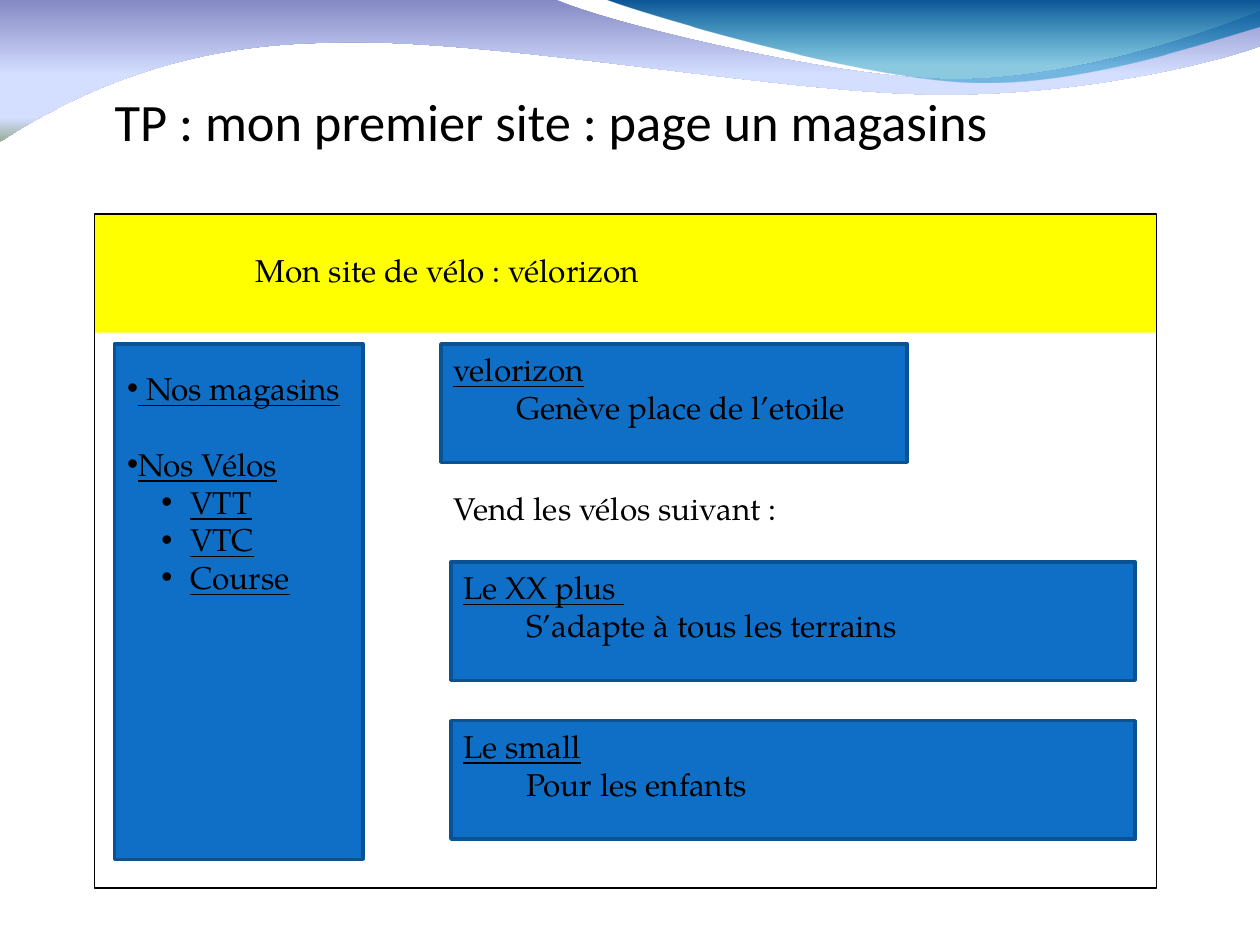
import pptx
import pptx.util
import pptx.dml.color
import pptx.enum.shapes
import pptx.enum.text
import pptx.oxml
import pptx.oxml.ns

HUES = {"ink": "000000", "blue": "0F6FC6", "edge": "0B5292", "sun": "FFFF00"}
UNIT = 0.1  # grid of 100 columns by 75 rows, in inches
SERIF, SANS = "TeX Gyre Pagella", "Calibri"
qn = pptx.oxml.ns.qn


def cell(n):
    return pptx.util.Inches(n * UNIT)


def color(hue):
    return pptx.dml.color.RGBColor.from_string(HUES[hue])


def add(parent, tag, **attrs):
    child = parent.makeelement(qn(tag), {k: str(v) for k, v in attrs.items()})
    parent.append(child)
    return child


def write(para, text, size=18, font=SERIF, under=False, before=0, left=0,
          hang=0, bullet=None, tab=None):
    """Put formatted text in a paragraph."""
    props = para._p.get_or_add_pPr()
    props.set("marL", str(cell(left)))
    props.set("indent", str(cell(hang)))
    if bullet:
        add(props, "a:buFont", typeface="Arial")
        add(props, "a:buChar", char=bullet)
    if tab:
        add(add(props, "a:tabLst"), "a:tab", pos=cell(tab), algn="l")
    para.alignment = pptx.enum.text.PP_ALIGN.LEFT
    para.space_before = pptx.util.Pt(before)
    run = para.add_run()
    run.text = text
    run.font.size = pptx.util.Pt(size)
    run.font.name = font
    run.font.underline = under
    run.font.color.rgb = color("ink")


class Page:
    def __init__(self, deck):
        self.slide = deck.slides.add_slide(deck.slide_layouts[1])
        self.shapes = self.slide.shapes

    def place(self, shape, x, y, w, h):
        shape.left, shape.top, shape.width, shape.height = map(cell, (x, y, w, h))

    def fill(self, frame, lines, anchor="TOP"):
        frame.word_wrap = True
        frame.auto_size = pptx.enum.text.MSO_AUTO_SIZE.NONE
        frame.vertical_anchor = getattr(pptx.enum.text.MSO_ANCHOR, anchor)
        for i, (text, style) in enumerate(lines):
            para = frame.add_paragraph() if i else frame.paragraphs[0]
            write(para, text, **style)

    def title(self, text, *spot):
        shape = self.shapes.title
        self.place(shape, *spot)
        self.fill(shape.text_frame, [(text, {"size": 30, "font": SANS})], "BOTTOM")
        shape.text_frame.margin_left = shape.text_frame.margin_right = 0
        shape.text_frame.margin_bottom = 0

    def list(self, lines, *spot):
        shape = self.slide.placeholders[1]
        self.place(shape, *spot)
        self.fill(shape.text_frame, lines)
        shape.element.getparent().append(shape.element)  # bring to front

    def box(self, *spot, hue=None, edge=None, width=2, lines=()):
        kind = pptx.enum.shapes.MSO_SHAPE.RECTANGLE
        shape = self.shapes.add_shape(kind, *map(cell, spot))
        shape.shadow.inherit = False
        if hue:
            shape.fill.solid()
            shape.fill.fore_color.rgb = color(hue)
        else:
            shape.fill.background()
        if edge:
            shape.line.color.rgb = color(edge)
            shape.line.width = pptx.util.Pt(width)
        else:
            shape.line.fill.background()
        self.fill(shape.text_frame, lines)

    def card(self, *spot, head, note):
        self.box(*spot, hue="blue", edge="edge",
                 lines=[(head, {"under": True}), ("\t" + note, {"tab": 10})])

    def label(self, text, *spot):
        shape = self.shapes.add_textbox(*map(cell, spot))
        self.fill(shape.text_frame, [(text, {})])

    def wave(self, start, legs, stops):
        """Closed outline, one point a line and three a curve, shaded downward."""
        pen = self.shapes.build_freeform(*map(cell, start))
        pen.add_line_segments([tuple(map(cell, leg[-1])) for leg in legs], close=True)
        shape = pen.convert_to_shape()
        shape.shadow.inherit = False
        shape.line.fill.background()
        shape.fill.background()
        props = shape.element.spPr
        for line, leg in zip(list(props.iter(qn("a:lnTo"))), legs):
            if len(leg) == 3:
                bend = line.makeelement(qn("a:cubicBezTo"), {})
                for x, y in leg:
                    add(bend, "a:pt", x=cell(x) - shape.left, y=cell(y) - shape.top)
                line.getparent().replace(line, bend)
        grad = props.makeelement(qn("a:gradFill"), {"rotWithShape": "1"})
        marks = add(grad, "a:gsLst")
        for pos, hue, alpha in stops:
            tint = add(add(marks, "a:gs", pos=pos * 1000), "a:srgbClr", val=hue)
            if alpha < 100:
                add(tint, "a:alpha", val=alpha * 1000)
        add(grad, "a:lin", ang=90 * 60000, scaled=0)
        props.replace(props.find(qn("a:noFill")), grad)


def main():
    deck = pptx.Presentation()
    deck.slide_width, deck.slide_height = cell(100), cell(75)
    page = Page(deck)

    # Waves along the top
    page.wave((0, 0), [[(44, -0.1)],
                       [(47.6, 1.7), (66.4, 6.3), (75.8, 6.3)],
                       [(85.3, 6.3), (95.8, 2.6), (100, 0.9)], [(100.1, 3.6)],
                       [(98.3, 4.4), (87, 7.6), (74.6, 7.5)],
                       [(62.2, 7.5), (38.2, 2.8), (25.7, 3.4)],
                       [(12.9, 3.6), (4.6, 8.3), (-0.1, 11.3)], [(0, 0)]],
              [(0, "8488C4", 100), (53, "D4DEFF", 100),
               (83, "D4DEFF", 100), (100, "96AB94", 100)])
    page.wave((47.9, -0.1), [[(50.9, 1.1), (68.2, 6.2), (76.9, 6.5)],
                             [(85.6, 6.9), (96.1, 3.2), (100, 2.1)],
                             [(100, 0)], [(47.9, -0.1)]],
              [(0, "0B5394", 100), (80, "008BBF", 45)])

    # Title and site header
    page.title("TP : mon premier site : page un magasins", 9.1, 2.9, 90, 9.2)
    page.box(7.5, 17, 84.3, 9.4, hue="sun")
    page.label("Mon site de vélo : vélorizon", 19.3, 19.4, 54.3, 4)
    page.box(7.5, 17, 84.3, 53.5, edge="ink", width=1)

    # Menu
    page.box(9.1, 27.3, 19.7, 40.9, hue="blue", edge="edge")
    main_item = {"under": True, "bullet": "•"}
    sub_item = {**main_item, "left": 5, "hang": -2.3}
    page.list([(" Nos magasins", main_item),
               ("Nos Vélos", {**main_item, "before": 21.6}),
               *((name, sub_item) for name in ("VTT", "VTC", "Course"))],
              9.1, 28.8, 21.3, 19.2)

    # Shop and its bikes
    page.card(35, 27.3, 37, 9.4, head="velorizon", note="Genève place de l’etoile")
    page.label("Vend les vélos suivant :", 35, 38.3, 29.9, 4)
    bikes = [("Le XX plus ", "S’adapte à tous les terrains"),
             ("Le small", "Pour les enfants")]
    for i, (head, note) in enumerate(bikes):
        page.card(35.8, 44.6 + 12.6 * i, 54.3, 9.4, head=head, note=note)

    deck.save("out.pptx")


if __name__ == "__main__":
    main()
